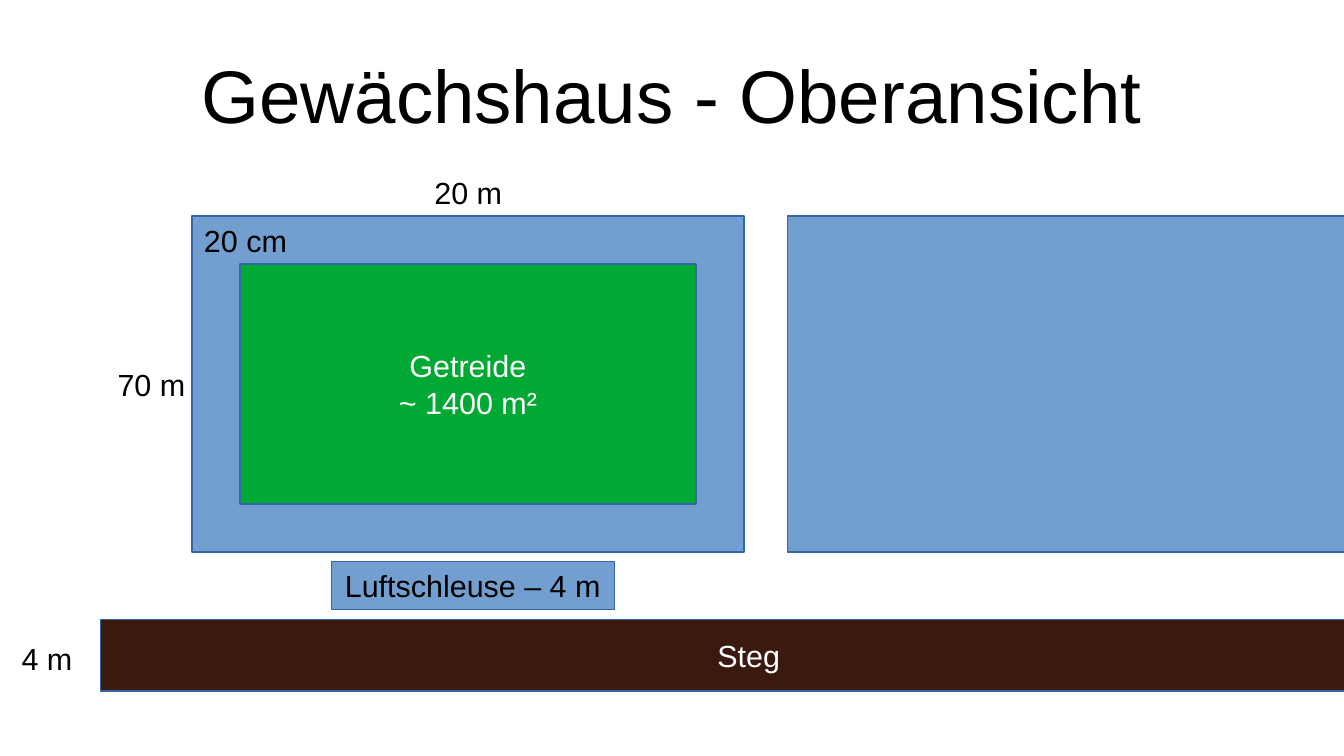
from dataclasses import dataclass

from pptx import Presentation
from pptx.dml.color import RGBColor
from pptx.enum.shapes import MSO_SHAPE
from pptx.enum.text import MSO_ANCHOR, PP_ALIGN
from pptx.util import Cm, Pt

# The page is a grid of square cells, one centimetre each
COLUMNS, ROWS = 28, 15.75


@dataclass(frozen=True)
class Theme:
    font: str = "Arial"
    title_size: int = 44
    text_size: int = 18
    black: str = "000000"
    white: str = "FFFFFF"
    glass: str = "729FCF"
    outline: str = "3465A4"
    grain: str = "00A933"
    wood: str = "3A1A0F"


THEME = Theme()


@dataclass(frozen=True)
class Box:
    left: float
    top: float
    width: float
    height: float

    def place(self):
        return [Cm(cells) for cells in (self.left, self.top, self.width, self.height)]

    def offset(self, right, down, width, height):
        return Box(self.left + right, self.top + down, width, height)

    def inset(self, margin):
        return self.offset(margin, margin, self.width - 2 * margin, self.height - 2 * margin)


def write(frame, text, size, color, align):
    frame.text = text
    frame.word_wrap = True
    for para in frame.paragraphs:
        para.alignment = align
        for span in para.runs:
            span.font.name = THEME.font
            span.font.size = Pt(size)
            span.font.color.rgb = RGBColor.from_string(color)


def add_block(page, box, fill, text="", color=THEME.white):
    block = page.shapes.add_shape(MSO_SHAPE.RECTANGLE, *box.place())
    block.shadow.inherit = False
    block.fill.solid()
    block.fill.fore_color.rgb = RGBColor.from_string(fill)
    block.line.color.rgb = RGBColor.from_string(THEME.outline)
    block.line.width = Pt(0)
    if text:
        block.text_frame.vertical_anchor = MSO_ANCHOR.MIDDLE
        write(block.text_frame, text, THEME.text_size, color, PP_ALIGN.CENTER)


def add_measure(page, box, right, down, text):
    label = page.shapes.add_textbox(*box.offset(right, down, 2.5, 0.96).place())
    write(label.text_frame, text, THEME.text_size, THEME.black, PP_ALIGN.LEFT)


def add_title(page, box, text):
    title = page.shapes.title
    title.left, title.top, title.width, title.height = box.place()
    frame = title.text_frame
    frame.margin_left = frame.margin_right = frame.margin_top = frame.margin_bottom = 0
    frame.vertical_anchor = MSO_ANCHOR.MIDDLE
    write(frame, text, THEME.title_size, THEME.black, PP_ALIGN.CENTER)


def add_greenhouse(page, box):
    add_block(page, box, THEME.glass)
    # Planted bed inside the walkway
    add_block(page, box.inset(1), THEME.grain, "Getreide\n~ 1400 m²")
    # Dimensions: width, length, walkway
    add_measure(page, box, 4.8, -1, "20 m")
    add_measure(page, box, -1.8, 3, "70 m")
    add_measure(page, box, 0, 0, "20 cm")
    # Airlock towards the footbridge below
    airlock = box.offset(2.9, box.height + 0.2, 5.9, 1)
    add_block(page, airlock, THEME.glass, "Luftschleuse – 4 m", THEME.black)


def add_footbridge(page, box):
    add_block(page, box, THEME.wood, "Steg")
    add_measure(page, box, -1.9, 0.3, "4 m")


def main():
    deck = Presentation()
    deck.slide_width, deck.slide_height = Cm(COLUMNS), Cm(ROWS)
    page = deck.slides.add_slide(deck.slide_layouts.get_by_name("Title Only"))

    add_title(page, Box(1.4, 0.63, COLUMNS - 2.8, 2.63), "Gewächshaus - Oberansicht")
    add_greenhouse(page, Box(4, 4.5, 11.5, 7))
    # Neighbouring greenhouse, running past the right edge
    add_block(page, Box(16.4, 4.5, 12.1, 7), THEME.glass)
    add_footbridge(page, Box(2.1, 12.9, 27, 1.5))

    deck.save("out.pptx")


if __name__ == "__main__":
    main()
